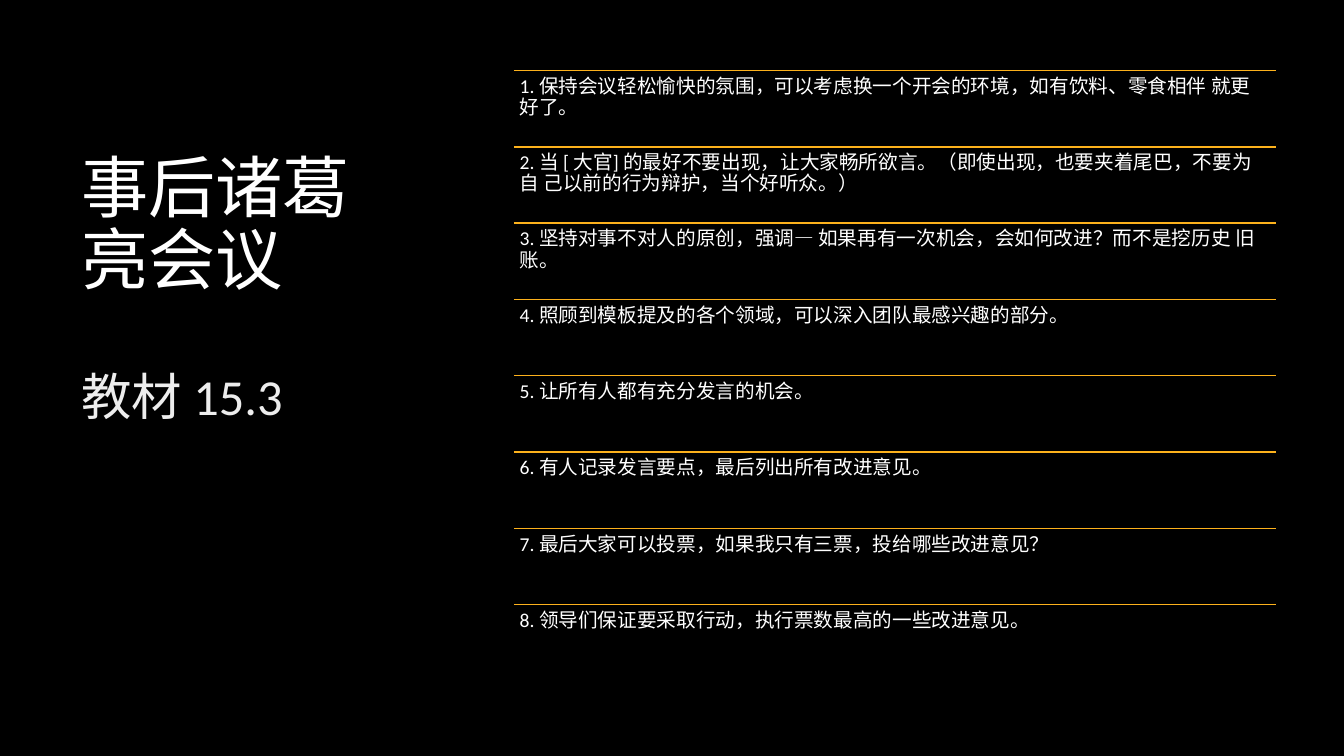
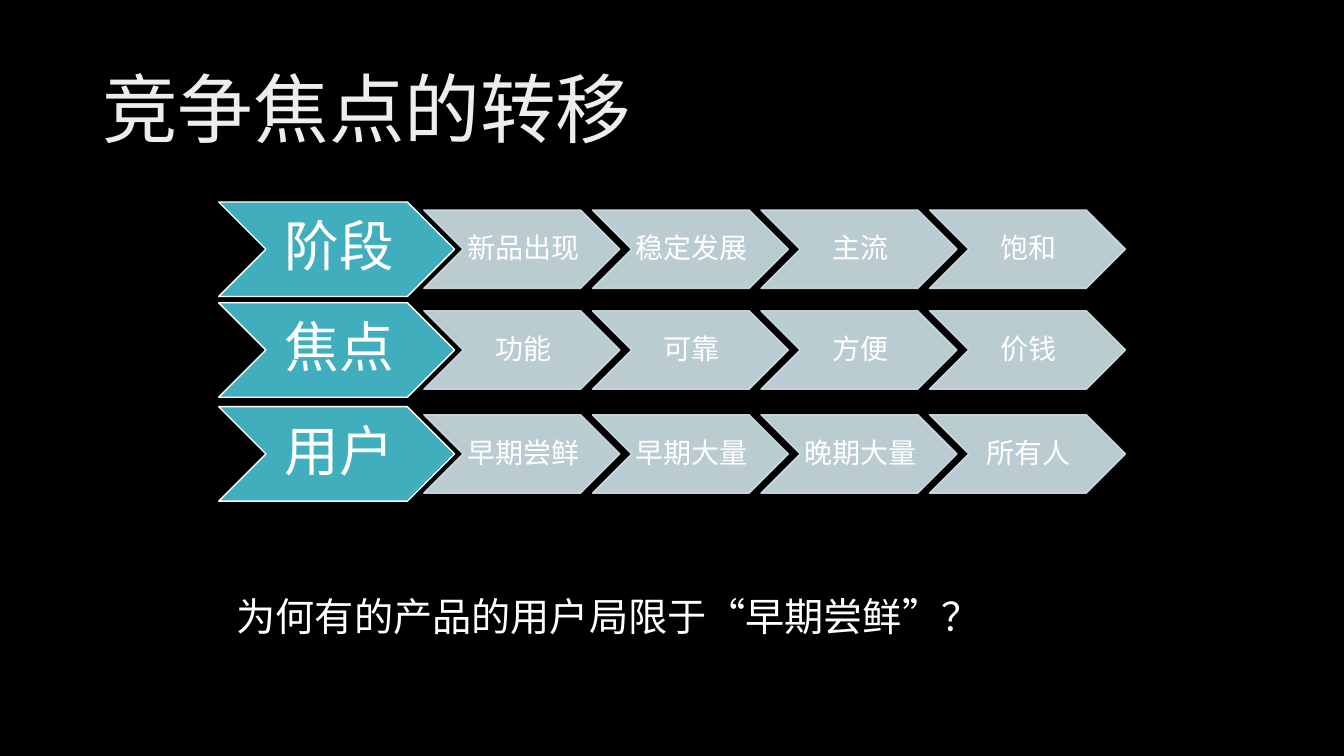
"""Build two dark slides: a list of meeting rules and a grid of market stages."""
from lxml import etree
from pptx import Presentation
from pptx.dml.color import RGBColor
from pptx.enum.shapes import MSO_CONNECTOR, MSO_SHAPE
from pptx.enum.text import MSO_ANCHOR, PP_ALIGN
from pptx.oxml.ns import qn
from pptx.util import Pt

LINE, CHEVRON = MSO_CONNECTOR.STRAIGHT, MSO_SHAPE.CHEVRON
TOP, MIDDLE = MSO_ANCHOR.TOP, MSO_ANCHOR.MIDDLE
LEFT, CENTER = PP_ALIGN.LEFT, PP_ALIGN.CENTER

THEME = {
    "font": "Calibri",
    "black": RGBColor.from_string("000000"),
    "white": RGBColor.from_string("FFFFFF"),
    "pale": RGBColor.from_string("EDEDED"),
    "gold": RGBColor.from_string("FCB11C"),
    "teal": RGBColor.from_string("41AEBD"),
    "mist": RGBColor.from_string("CFE3E8"),
    "title": 54, "head": 48, "sub": 36, "stage": 39,
    "note": 28, "cell": 20, "rule": 14,
}


def write(shape, parts, inset=(7.2, 3.6, 7.2, 3.6), anchor=TOP, align=LEFT, pitch=0.9):
    """Fill a shape with (text, size, colour, space before) paragraphs."""
    frame = shape.text_frame
    left, top, right, bottom = map(Pt, inset)
    form = {"word_wrap": True, "vertical_anchor": anchor, "margin_left": left,
            "margin_top": top, "margin_right": right, "margin_bottom": bottom}
    for key, value in form.items():
        setattr(frame, key, value)
    for i, (text, size, tone, gap) in enumerate(parts):
        para = frame.add_paragraph() if i else frame.paragraphs[0]
        para.text = text
        form = {"alignment": align, "line_spacing": pitch, "space_before": Pt(gap)}
        for key, value in form.items():
            setattr(para, key, value)
        form = {"name": THEME["font"], "size": Pt(THEME[size])}
        for key, value in form.items():
            setattr(para.font, key, value)
        para.font.color.rgb = THEME[tone]


deck = Presentation()
deck.slide_width, deck.slide_height = Pt(960), Pt(540)
slides = []
for _ in range(2):
    slide = deck.slides.add_slide(deck.slide_layouts[6])
    slide.background.fill.solid()
    slide.background.fill.fore_color.rgb = THEME["black"]
    slides.append(slide)
rules, stages = slides

title = rules.shapes.add_textbox(Pt(51), Pt(106.5), Pt(231), Pt(350.5))
write(title, [("事后诸葛亮会议", "head", "white", 0), ("教材 15.3", "sub", "pale", 52)])

tips = [
    "保持会议轻松愉快的氛围，可以考虑换一个开会的环境，如有饮料、零食相伴 就更好了。",
    "当 [ 大官] 的最好不要出现，让大家畅所欲言。（即使出现，也要夹着尾巴，不要为自 己以前的行为辩护，当个好听众。）",
    "坚持对事不对人的原创，强调— 如果再有一次机会，会如何改进？而不是挖历史 旧账。",
    "照顾到模板提及的各个领域，可以深入团队最感兴趣的部分。",
    "让所有人都有充分发言的机会。",
    "有人记录发言要点，最后列出所有改进意见。",
    "最后大家可以投票，如果我只有三票，投给哪些改进意见？",
    "领导们保证要采取行动，执行票数最高的一些改进意见。",
]
x, wide, step = 367, 544.5, 54.5
for i, tip in enumerate(tips):
    y = 50.4 + i * step
    line = rules.shapes.add_connector(LINE, Pt(x), Pt(y), Pt(x + wide), Pt(y))
    line.line.color.rgb = THEME["gold"]
    line.line.width = Pt(1)
    etree.SubElement(line._element.spPr, qn("a:effectLst"))
    box = rules.shapes.add_textbox(Pt(x), Pt(y), Pt(wide), Pt(step))
    write(box, [(f"{i + 1}. {tip}", "rule", "white", 0)], inset=(4.2,) * 4)

title = stages.shapes.add_textbox(Pt(66), Pt(28.75), Pt(828), Pt(104.4))
write(title, [("竞争焦点的转移", "title", "pale", 0)], anchor=MIDDLE)

rows = [
    (144.25, ["阶段", "新品出现", "稳定发展", "主流", "饱和"]),
    (216.25, ["焦点", "功能", "可靠", "方便", "价钱"]),
    (290.5, ["用户", "早期尝鲜", "早期大量", "晚期大量", "所有人"]),
]
lead = {"size": (168.5, 67.5), "fill": "teal", "edge": "white", "type": "stage",
        "inset": (3.6, 2, 0, 2), "alpha": 100}
cell = {"size": (140, 56), "fill": "mist", "edge": "mist", "type": "cell",
        "inset": (1.8, 0.9, 0, 0.9), "alpha": 90}
drop = (lead["size"][1] - cell["size"][1]) / 2
for top, words in rows:
    for i, word in enumerate(words):
        look = cell if i else lead
        x = 302.75 + (i - 1) * 120.4 if i else 156.25
        y = top + drop if i else top
        arrow = stages.shapes.add_shape(CHEVRON, Pt(x), Pt(y), *map(Pt, look["size"]))
        arrow.shadow.inherit = False
        arrow.fill.solid()
        arrow.fill.fore_color.rgb = THEME[look["fill"]]
        arrow.line.color.rgb = THEME[look["edge"]]
        arrow.line.width = Pt(1)
        if look["alpha"] < 100:
            for tone in arrow._element.spPr.iter(qn("a:srgbClr")):
                etree.SubElement(tone, qn("a:alpha"), val=str(look["alpha"] * 1000))
        write(arrow, [(word, look["type"], "white", 0)], look["inset"], MIDDLE, CENTER)

note = stages.shapes.add_textbox(Pt(162), Pt(419.75), Pt(624), Pt(41))
write(note, [("为何有的产品的用户局限于“早期尝鲜”？", "note", "white", 0)], pitch=1.0)

deck.save("out.pptx")
